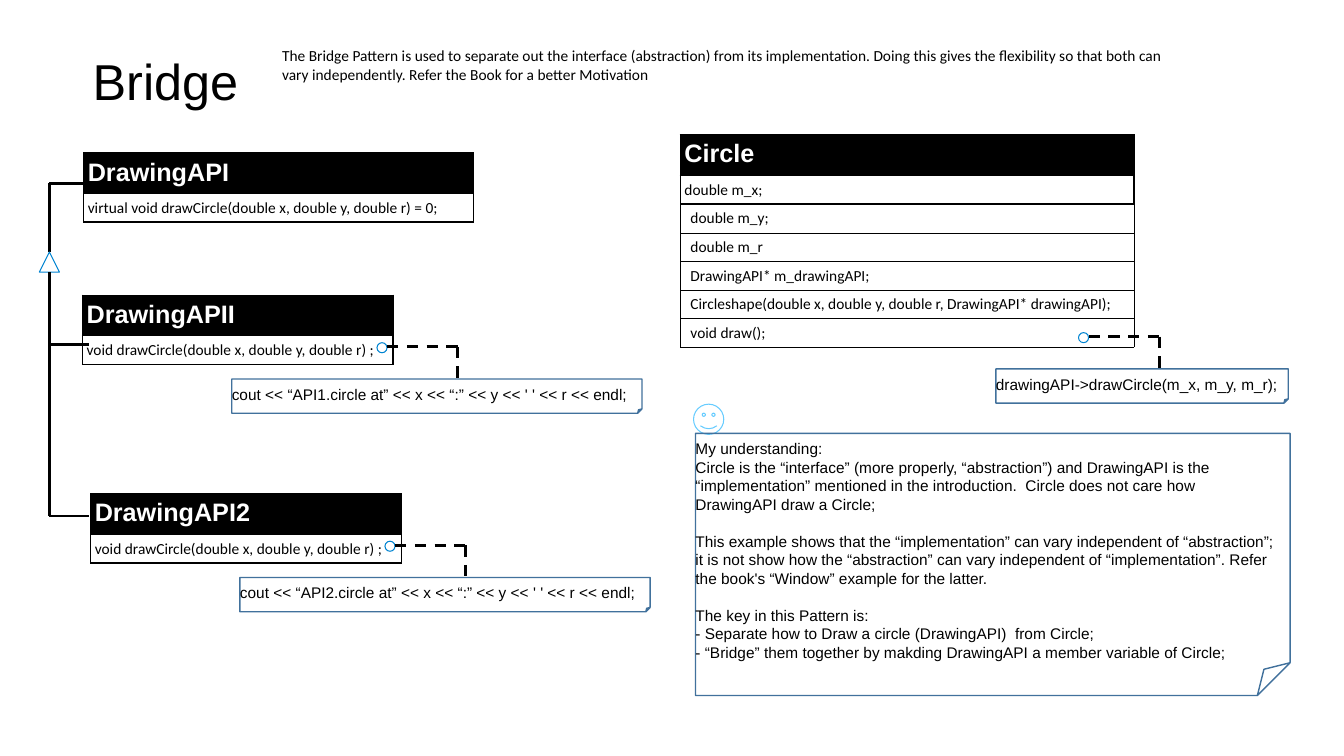
from lxml.etree import SubElement
from pptx import Presentation
from pptx.dml.color import RGBColor
from pptx.enum.dml import MSO_LINE
from pptx.enum.shapes import MSO_CONNECTOR as CONN, MSO_SHAPE as SHAPE
from pptx.enum.text import MSO_ANCHOR, MSO_AUTO_SIZE, PP_ALIGN
from pptx.oxml.ns import qn
from pptx.util import Pt

BLACK = RGBColor(0x00, 0x00, 0x00)
WHITE = RGBColor(0xFF, 0xFF, 0xFF)
NOTE_BLUE = RGBColor(0x41, 0x71, 0x9C)
MARK_BLUE = RGBColor(0x00, 0x84, 0xD1)
SMILE_BLUE = RGBColor(0x66, 0xCC, 0xFF)

# Content
TITLE = "Bridge"
INTRO = ("The Bridge Pattern is used to separate out the interface (abstraction) from its "
         "implementation. Doing this gives the flexibility so that both can vary "
         "independently. Refer the Book for a better Motivation")
# Classes: left, top, width, class name, members
CLASSES = [
    (59.8, 109.4, 278.6, "DrawingAPI",
     ["virtual void drawCircle(double x, double y, double r) = 0;"]),
    (59, 211, 221.8, "DrawingAPII", ["void drawCircle(double x, double y, double r) ;"]),
    (64.8, 352.8, 221.8, "DrawingAPI2", ["void drawCircle(double x, double y, double r) ;"]),
    (486, 96.5, 324, "Circle",
     ["double m_x;", "double m_y;", "double m_r", "DrawingAPI* m_drawingAPI;",
      "Circleshape(double x, double y, double r, DrawingAPI* drawingAPI);",
      "void draw();"]),
]
# Code notes: dot left, dot top, note left, note width, code
CODE_NOTES = [
    (269.3, 244.8, 165.6, 293, "cout << “API1.circle at” << x << “:” << y << ' ' << r << endl;"),
    (275, 386.6, 171.4, 293, "cout << “API2.circle at” << x << “:” << y << ' ' << r << endl;"),
    (770.4, 237.6, 711.4, 208.8, "drawingAPI->drawCircle(m_x, m_y, m_r);"),
]
# One list for each block of lines
UNDERSTANDING = [
    ["My understanding:",
     "Circle is the “interface” (more properly, “abstraction”) and DrawingAPI is the",
     "“implementation” mentioned in the introduction.  Circle does not care how",
     "DrawingAPI draw a Circle;"],
    ["This example shows that the “implementation” can vary independent of “abstraction”;",
     "it is not show how the “abstraction” can vary independent of “implementation”. Refer",
     "the book's “Window” example for the latter."],
    ["The key in this Pattern is:",
     "- Separate how to Draw a circle (DrawingAPI)  from Circle;",
     "- “Bridge” them together by makding DrawingAPI a member variable of Circle;"],
]
# Inheritance tree
TRUNK_X, BRANCH_X = 35.3, 63.4
BASE_Y, CHILD_YS = 131, (246.2, 368.6)
ARROW_TOP, ARROW_SIZE = 180, 14.4

HEAD_H, ROW_H = 28.1, 19.4
DOT, NOTE_DROP, NOTE_H = 7.2, 25.9, 24.5

prs = Presentation()
prs.slide_width, prs.slide_height = Pt(960), Pt(540)
slide = prs.slides.add_slide(prs.slide_layouts[5])
shapes = slide.shapes


def style(p, size, font, color=BLACK, bold=False):
    for r in p.runs:
        r.font.size, r.font.name, r.font.bold = Pt(size), font, bold
        r.font.color.rgb = color


def set_margins(box, left, top, right, bottom):
    box.margin_left, box.margin_top = Pt(left), Pt(top)
    box.margin_right, box.margin_bottom = Pt(right), Pt(bottom)


def add_outline(kind, left, top, width, height, color, weight=0):
    sp = shapes.add_shape(kind, Pt(left), Pt(top), Pt(width), Pt(height))
    sp.shadow.inherit = False
    sp.fill.background()
    sp.line.color.rgb, sp.line.width = color, Pt(weight)
    return sp


def add_line(x1, y1, x2, y2, dashed=False):
    line = shapes.add_connector(CONN.STRAIGHT, Pt(x1), Pt(y1), Pt(x2), Pt(y2))
    line.line.color.rgb, line.line.width = BLACK, Pt(0)
    if dashed:
        line.line.dash_style = MSO_LINE.DASH
    SubElement(line._element.spPr, qn("a:effectLst"))


def add_note(left, top, width, height, blocks):
    sp = add_outline(SHAPE.FOLDED_CORNER, left, top, width, height, NOTE_BLUE, 1)
    # Fold size: an eighth of the short side
    guides = next(sp._element.spPr.iter(qn("a:avLst")))
    SubElement(guides, qn("a:gd"), name="adj", fmla="val 12500")
    tf = sp.text_frame
    tf.word_wrap, tf.vertical_anchor = False, MSO_ANCHOR.TOP
    set_margins(tf, 0, 4.3, 7.9, 4.3)
    tf.text = "\n".join(line for block in blocks for line in block)
    starts = [block[0] for block in blocks[1:]]
    for p in tf.paragraphs:
        p.alignment = PP_ALIGN.LEFT
        p.space_before = Pt(13.2 if p.text in starts else 0)
        style(p, 11, "Arial")


def set_borders(cell, weight):
    tc_pr = cell._tc.get_or_add_tcPr()
    for side in ("a:lnL", "a:lnR", "a:lnT", "a:lnB"):
        ln = SubElement(tc_pr, qn(side), w=str(int(Pt(weight))))
        SubElement(SubElement(ln, qn("a:solidFill")), qn("a:srgbClr"), val=str(BLACK))


def add_class(left, top, width, name, members):
    rows = [name] + members
    table = shapes.add_table(len(rows), 1, Pt(left), Pt(top), Pt(width),
                             Pt(HEAD_H + ROW_H * len(members))).table
    table.first_row = table.horz_banding = False
    for i, text in enumerate(rows):
        head, tight = i == 0, i < 2
        table.rows[i].height = Pt(HEAD_H if head else ROW_H)
        cell = table.cell(i, 0)
        cell.text = text
        side = 2.9 if tight else 7.2
        set_margins(cell, side, 3.6, side, 3.6)
        set_borders(cell, 1.13 if tight else 0.06)
        cell.fill.solid()
        cell.fill.fore_color.rgb = BLACK if head else WHITE
        p = cell.text_frame.paragraphs[0]
        if head:
            style(p, 18, "Arial", WHITE, True)
        else:
            style(p, 11, "Calibri")


# Title and introduction
title = shapes.title
title.left, title.top, title.width, title.height = Pt(66.2), Pt(31), Pt(128.2), Pt(57.6)
tf = title.text_frame
tf.text = TITLE
tf.vertical_anchor, tf.auto_size = MSO_ANCHOR.MIDDLE, MSO_AUTO_SIZE.NONE
set_margins(tf, 0, 0, 0, 0)
p = tf.paragraphs[0]
p.alignment, p.line_spacing = PP_ALIGN.LEFT, 0.9
style(p, 36, "Arial")

tf = shapes.add_textbox(Pt(194.4), Pt(29.5), Pt(648), Pt(42.5)).text_frame
tf.word_wrap = True
tf.text = INTRO
style(tf.paragraphs[0], 11, "Calibri")

# Class tables
for entry in CLASSES:
    add_class(*entry)

# Code notes with their dashed leaders
for x, y, note_left, note_w, code in CODE_NOTES:
    corner_x, leader_y, note_top = x + DOT + 50.4, y + 2.9, y + NOTE_DROP
    add_note(note_left, note_top, note_w, NOTE_H, [[code]])
    add_outline(SHAPE.OVAL, x, y, DOT, DOT, MARK_BLUE)
    add_line(x + DOT, leader_y, corner_x, leader_y, True)
    add_line(corner_x, leader_y, corner_x, note_top, True)

# Inheritance tree
add_line(TRUNK_X, BASE_Y, TRUNK_X, ARROW_TOP)
add_outline(SHAPE.ISOSCELES_TRIANGLE, TRUNK_X - ARROW_SIZE / 2, ARROW_TOP,
            ARROW_SIZE, ARROW_SIZE, MARK_BLUE)
add_line(TRUNK_X, ARROW_TOP + ARROW_SIZE, TRUNK_X, CHILD_YS[-1])
for y in (BASE_Y, *CHILD_YS):
    add_line(TRUNK_X, y, BRANCH_X, y)

# Explanation
add_outline(SHAPE.SMILEY_FACE, 495.4, 288.7, 21.6, 21.6, SMILE_BLUE)
add_note(496.8, 309.6, 424.8, 187.2, UNDERSTANDING)

prs.save("out.pptx")
